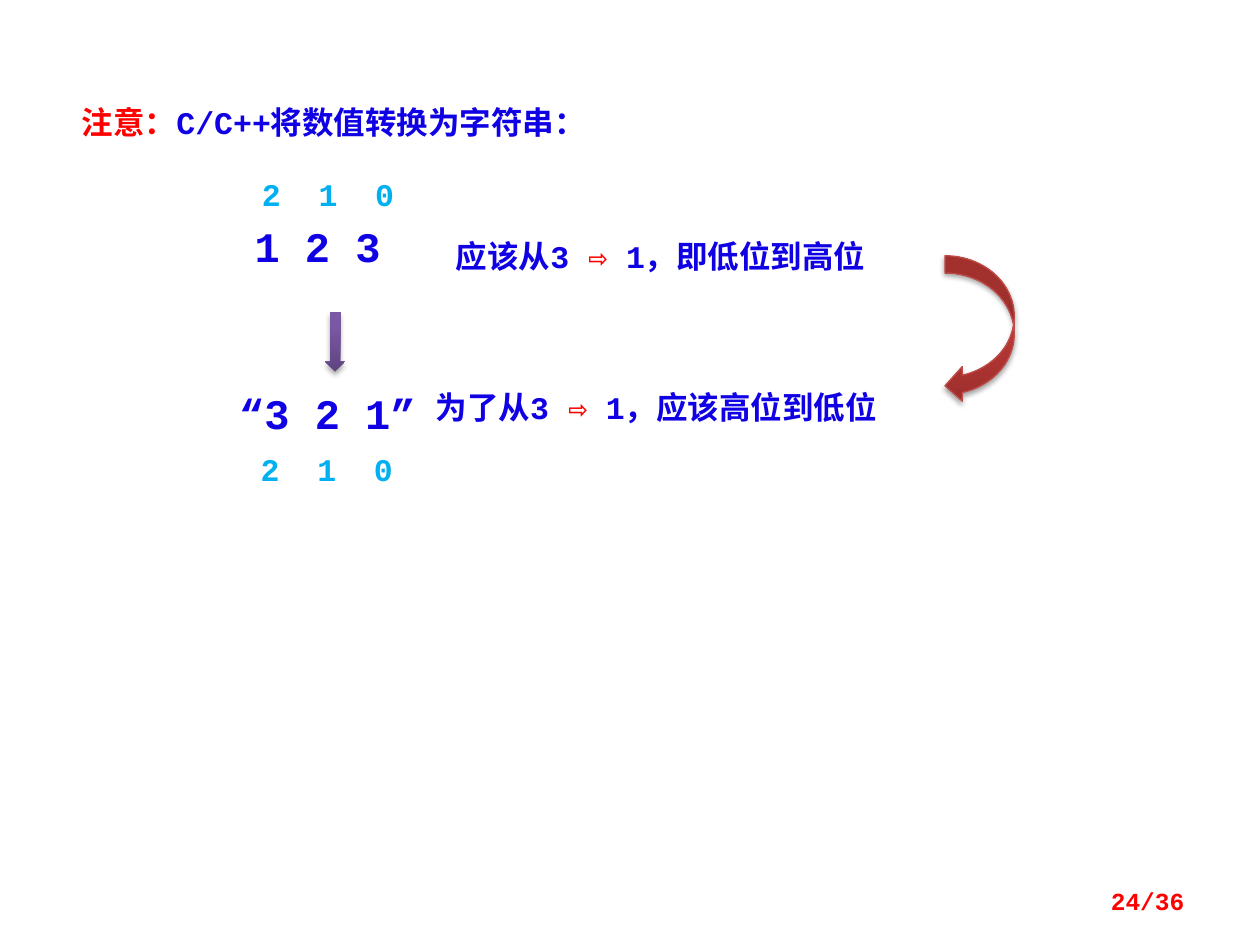
from lxml import etree
from pptx import Presentation, util as u
from pptx.dml.color import RGBColor
from pptx.enum import shapes, text
from pptx.oxml.ns import qn

COLS = 100
BLUE, RED, CYAN = "1000E4", "FF0000", "00B0F0"
A = text.PP_ALIGN


def rgb(value):
    return RGBColor.from_string(value)


def grid(prs, *cells):
    unit = prs.slide_width / COLS
    return [round(c * unit) for c in cells]


def inside(box, x, y, w, h):
    return box[0] + x, box[1] + y, w, h


def write(sp, runs, size=18, align=A.LEFT, **frame):
    tf = sp.text_frame
    settings = {"word_wrap": True, "auto_size": text.MSO_AUTO_SIZE.SHAPE_TO_FIT_TEXT,
                "vertical_anchor": text.MSO_ANCHOR.TOP, **frame}
    for name, value in settings.items():
        setattr(tf, name, value)
    p = tf.paragraphs[0]
    p.alignment = align
    for words, color in runs:
        r = p.add_run()
        r.text = words
        for name, value in {"name": "Courier New", "size": u.Pt(size), "bold": True}.items():
            setattr(r.font, name, value)
        r.font.color.rgb = rgb(color)


def label(prs, s, box, runs, **fmt):
    write(s.shapes.add_textbox(*grid(prs, *box)), runs, **fmt)


def arrow(prs, s, kind, box, stops, line=None):
    sp = s.shapes.add_shape(kind, *grid(prs, *box))
    sp.fill.gradient()
    sp.fill.gradient_angle = 90
    for stop, color, position in zip(sp.fill.gradient_stops, stops, (0, 0.8)):
        stop.color.rgb = rgb(color)
        stop.position = position
    if line:
        sp.line.color.rgb = rgb(line)
        sp.line.width = u.Pt(0.75)
    else:
        sp.line.fill.background()
    sp.shadow.inherit = False
    effects = sp._element.spPr.find(qn("a:effectLst"))
    shadow = etree.SubElement(effects, qn("a:outerShdw"), blurRad=str(u.Pt(3.1)),
                              dist=str(u.Pt(1.8)), dir="5400000", rotWithShape="0")
    color = etree.SubElement(shadow, qn("a:srgbClr"), val="000000")
    etree.SubElement(color, qn("a:alpha"), val="35000")


def heading(prs, s, box):
    sp = s.shapes.title
    sp.left, sp.top, sp.width, sp.height = grid(prs, *box)
    write(sp, [("注意：", RED), ("C/C++将数值转换为字符串：", BLUE)],
          align=A.JUSTIFY, margin_top=u.Inches(0.12))


def digits(prs, s, box):
    for x, y in ((2.6, 0), (2.5, 21.8)):
        label(prs, s, inside(box, x, y, 13.3, 4), [("2  1  0", CYAN)])
    label(prs, s, inside(box, 0, 3.6, 17.2, 5), [("1 2 3", BLUE)],
          size=24, margin_left=u.Inches(0.3))
    label(prs, s, inside(box, 0.8, 16.9, 16.4, 5), [("“3 2 1”", BLUE)], size=24)
    arrow(prs, s, shapes.MSO_SHAPE.DOWN_ARROW, inside(box, 8.6, 11.4, 1.6, 4.7),
          ("5F4480", "7B58A6"))


def reasoning(prs, s, box):
    lines = ((1.6, 0, 39.8, "应该从3 ", "1，即低位到高位"),
             (0, 12, 42.2, "为了从3 ", "1，应该高位到低位"))
    for x, y, w, start, end in lines:
        label(prs, s, inside(box, x, y, w, 4),
              [(start, BLUE), ("⇨ ", RED), (end, BLUE)])
    arrow(prs, s, shapes.MSO_SHAPE.CURVED_LEFT_ARROW, inside(box, 41.4, 2, 5.5, 11.7),
          ("9C2F2D", "CB3E3A"), "BF4C48")


def page_number(prs, s, box):
    label(prs, s, box, [("24/36", RED)], size=14, align=A.RIGHT,
          vertical_anchor=text.MSO_ANCHOR.MIDDLE, auto_size=text.MSO_AUTO_SIZE.NONE)


def main():
    prs = Presentation()
    prs.slide_width, prs.slide_height = u.Inches(10), u.Inches(7.5)
    s = prs.slides.add_slide(prs.slide_layouts[5])
    heading(prs, s, (5.5, 7, 56.3, 4.7))
    digits(prs, s, (17.2, 13.4))
    reasoning(prs, s, (33.6, 18.3))
    page_number(prs, s, (71.7, 69.5, 23.3, 4))
    prs.save("out.pptx")


if __name__ == "__main__":
    main()
